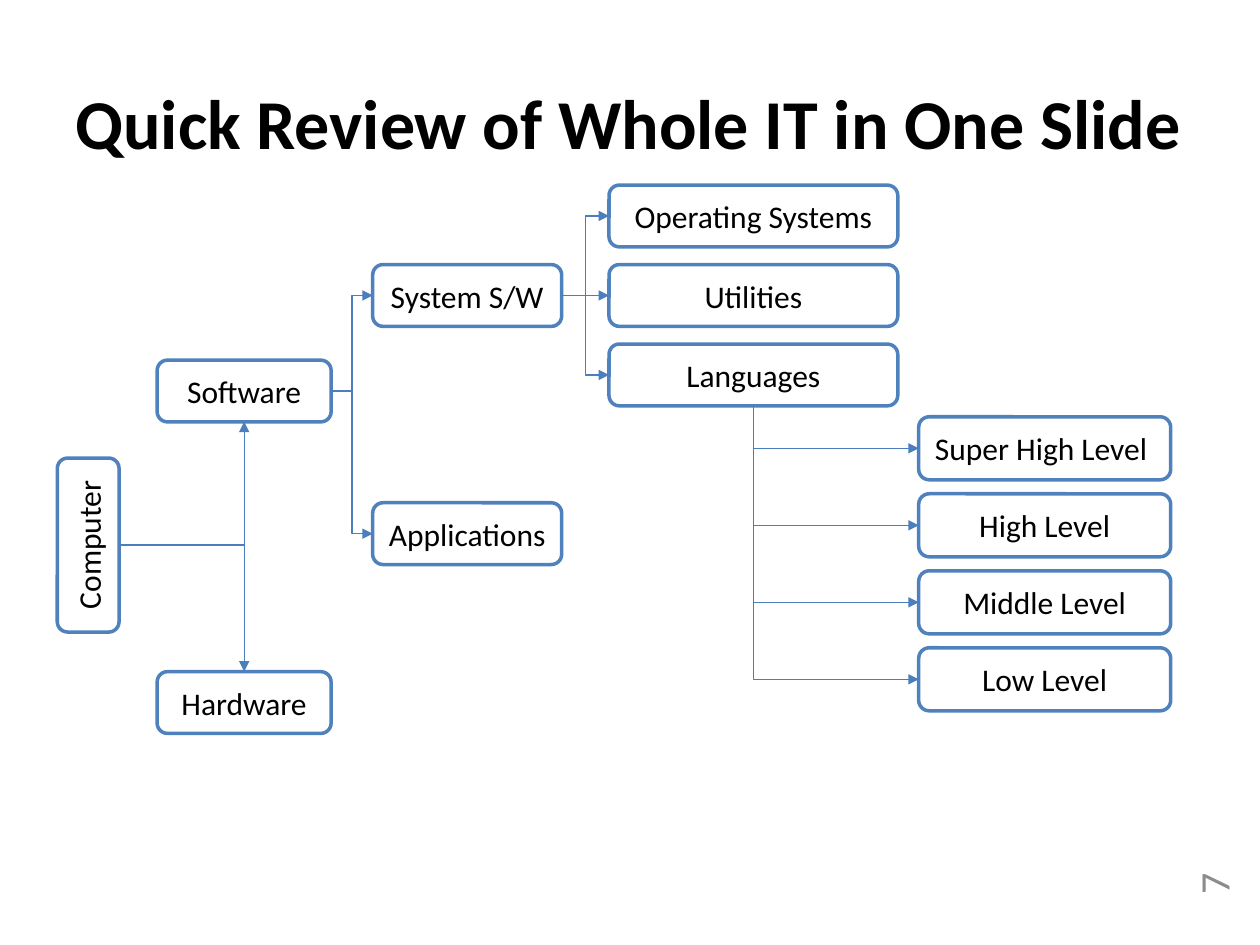
from lxml.etree import SubElement
from pptx import Presentation
from pptx.dml.color import RGBColor
from pptx.enum.shapes import MSO_CONNECTOR, MSO_SHAPE
from pptx.enum.text import MSO_ANCHOR, PP_ALIGN
from pptx.oxml.ns import qn
from pptx.util import Pt

BLACK = RGBColor(0x00, 0x00, 0x00)
WHITE = RGBColor(0xFF, 0xFF, 0xFF)
GRAY = RGBColor(0x8C, 0x8C, 0x8C)
BLUE = RGBColor(0x4F, 0x81, 0xBD)
WIRE = RGBColor(0x4B, 0x7E, 0xBC)

# Sides in the order of a box's connection sites
TOP, LEFT, BASE, RIGHT = range(4)


class Chart:
    font = "Calibri"

    def __init__(self, slide):
        self.slide = slide

    def letter(self, shape, text, size, color, align, bold=False):
        frame = shape.text_frame
        frame.word_wrap = True
        para = frame.paragraphs[0]
        para.text = text
        para.alignment = align
        font = para.font
        font.name, font.size, font.bold = self.font, Pt(size), bold
        font.color.rgb = color
        return frame

    def label(self, text, left, top, width, height, size, color=BLACK,
              align=PP_ALIGN.LEFT, bold=False, turn=0):
        area = self.slide.shapes.add_textbox(Pt(left), Pt(top), Pt(width), Pt(height))
        area.rotation = turn
        return self.letter(area, text, size, color, align, bold)

    def box(self, text, left, top, width, height=35.3, turn=0):
        box = self.slide.shapes.add_shape(
            MSO_SHAPE.ROUNDED_RECTANGLE, Pt(left), Pt(top), Pt(width), Pt(height))
        box.shadow.inherit = False
        box.rotation = turn
        box.fill.solid()
        box.fill.fore_color.rgb = WHITE
        box.line.color.rgb = BLUE
        box.line.width = Pt(2)
        frame = self.letter(box, text, 18, BLACK, PP_ALIGN.CENTER)
        frame.vertical_anchor = MSO_ANCHOR.MIDDLE
        return box

    def port(self, box, side):
        """Give the site number and the point on the side as seen."""
        wide, high = box.width, box.height
        x, y = box.left + wide // 2, box.top + high // 2
        site = side
        if box.rotation == 270:
            wide, high = high, wide
            site = (side - 1) % 4
        dx, dy = ((0, -1), (-1, 0), (0, 1), (1, 0))[side]
        return site, x + dx * wide // 2, y + dy * high // 2

    def link(self, start, out, end, into):
        site1, x1, y1 = self.port(start, out)
        site2, x2, y2 = self.port(end, into)
        flat = abs(y2 - y1) < Pt(1)
        kind = MSO_CONNECTOR.STRAIGHT if flat else MSO_CONNECTOR.ELBOW
        wire = self.slide.shapes.add_connector(kind, x1, y1, x2, y2)
        wire.begin_connect(start, site1)
        wire.end_connect(end, site2)
        wide, high = abs(x2 - x1), abs(y2 - y1)
        midx, midy = (x1 + x2) // 2, (y1 + y2) // 2
        props = wire.element.spPr

        # One corner when the two sides are at right angles
        if out % 2 != into % 2:
            props.find(qn("a:prstGeom")).set("prst", "bentConnector2")
        if out == BASE:
            wide, high = high, wide
            frame = props.find(qn("a:xfrm"))
            frame.set("rot", "16200000")
            frame.set("flipH", "1")
        wire.left, wire.top = midx - wide // 2, midy - high // 2
        wire.width, wire.height = wide, high

        wire.line.color.rgb = WIRE
        wire.line.width = Pt(0.75)
        SubElement(props.find(qn("a:ln")), qn("a:tailEnd"), type="triangle")
        SubElement(props, qn("a:effectLst"))


def main():
    deck = Presentation()
    deck.slide_width, deck.slide_height = Pt(720), Pt(540)
    chart = Chart(deck.slides.add_slide(deck.slide_layouts[6]))

    # Page number and title
    page = chart.label("7", 668.9, 501.1, 48.2, 30.2, 24, GRAY, PP_ALIGN.RIGHT, turn=270)
    page.vertical_anchor = MSO_ANCHOR.MIDDLE
    chart.label("Quick Review of Whole IT in One Slide", 36, 41.8, 653.8, 55.4, 40, bold=True)

    # Boxes, from the root to the leaves
    root = chart.box("Computer", 0.7, 293.8, 99.4, turn=270)
    soft = chart.box("Software", 89.8, 205.8, 99.4)
    hard = chart.box("Hardware", 89.8, 383.8, 99.4)
    system = chart.box("System S/W", 213, 151.2, 108)
    apps = chart.box("Applications", 213, 287.3, 108)
    parts = [chart.box(name, 348, 105.8 + 45.4 * row, 165)
             for row, name in enumerate(("Operating Systems", "Utilities", "Languages"))]
    names = ("Super High Level ", "High Level", "Middle Level", "Low Level")
    levels = [chart.box(name, 525, 238.2 + 44 * row, 144, 36)
              for row, name in enumerate(names)]

    # Arrows
    for level in levels:
        chart.link(parts[-1], BASE, level, LEFT)
    for kind in (system, apps):
        chart.link(soft, RIGHT, kind, LEFT)
    for part in parts:
        chart.link(system, RIGHT, part, LEFT)
    chart.link(root, RIGHT, soft, BASE)
    chart.link(root, RIGHT, hard, TOP)

    deck.save("out.pptx")


if __name__ == "__main__":
    main()
